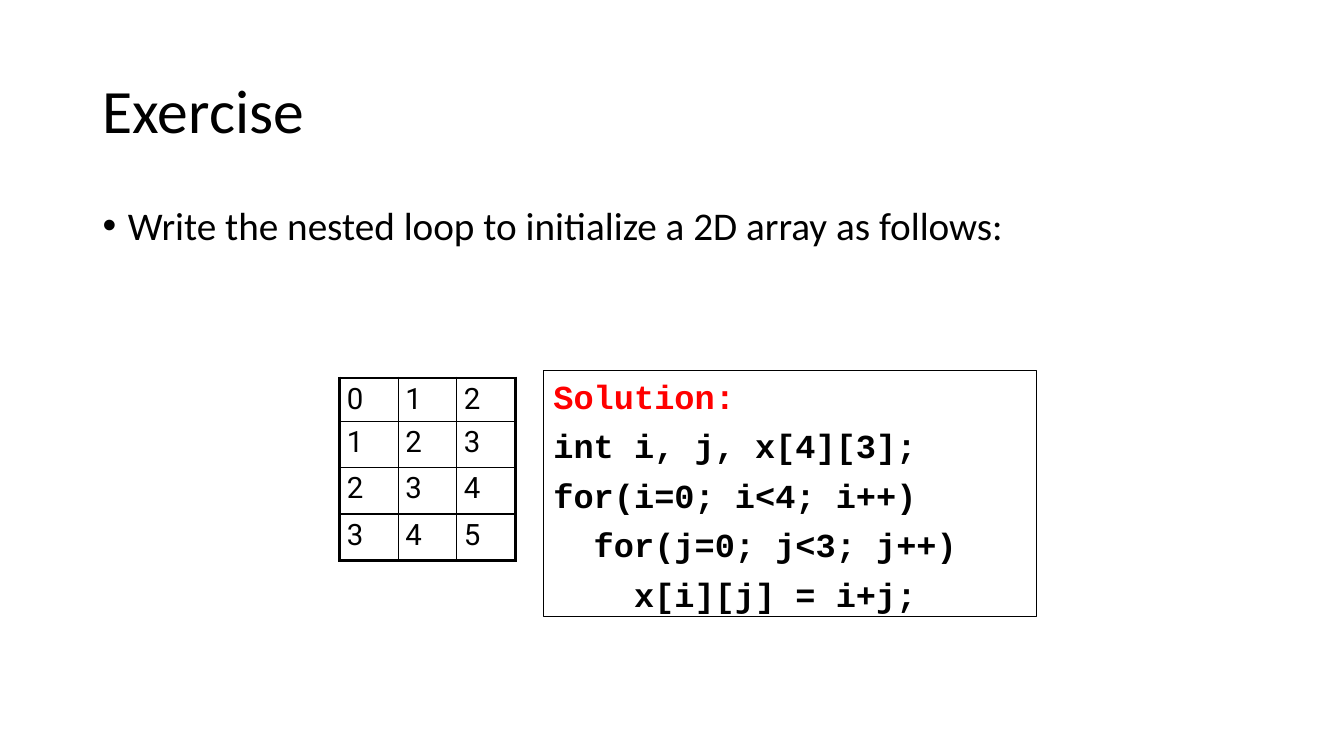
from dataclasses import dataclass

from pptx import Presentation
from pptx.dml.color import RGBColor
from pptx.enum.shapes import MSO_SHAPE as Shape
from pptx.enum.text import MSO_ANCHOR as Anchor, PP_ALIGN as Align
from pptx.oxml.ns import qn
from pptx.util import Pt
from lxml.etree import SubElement

PX = 9144  # EMU per px, 100 px to the inch
BLACK, RED = "000000", "FF0000"
THIN, THICK = 1, 2.25
ROWS, COLUMNS = 4, 3
COLUMN_WIDTH, FIRST_ROW, OTHER_ROW = 58, 43, 46


@dataclass
class Area:
    left: int
    top: int
    width: int
    height: int

    def emu(self) -> list[int]:
        return [side * PX for side in (self.left, self.top, self.width, self.height)]


@dataclass
class Style:
    font: str
    size: int
    bold: bool = False


@dataclass
class Line:
    text: str
    color: str = BLACK


TITLE = Style("Calibri", 44)
BODY = Style("Calibri", 28)
NUMBER = Style("Roboto", 21)
CODE = Style("Courier New", 24, True)

SOLUTION = [
    Line("Solution:", RED),
    Line("int i, j, x[4][3];"),
    Line("for(i=0; i<4; i++)"),
    Line("  for(j=0; j<3; j++)"),
    Line("    x[i][j] = i+j;"),
]


def rgb(color: str) -> RGBColor:
    return RGBColor.from_string(color)


def write(para, line: Line, style: Style) -> None:
    para.alignment = Align.LEFT
    span = para.add_run()
    span.text = line.text
    span.font.name = style.font
    span.font.size = Pt(style.size)
    span.font.bold = style.bold
    span.font.color.rgb = rgb(line.color)


def place(box, area: Area) -> None:
    box.left, box.top, box.width, box.height = area.emu()


def add_title(page, area: Area, text: str) -> None:
    box = page.shapes.title
    place(box, area)
    box.text_frame.vertical_anchor = Anchor.MIDDLE
    para = box.text_frame.paragraphs[0]
    para.line_spacing = 0.9
    write(para, Line(text), TITLE)


def add_bullet(page, area: Area, text: str) -> None:
    box = page.shapes.add_textbox(*area.emu())
    box.text_frame.word_wrap = True
    para = box.text_frame.paragraphs[0]
    para.line_spacing = 0.9
    para.space_before = Pt(10)
    write(para, Line(text), BODY)
    props = para._p.get_or_add_pPr()
    props.set("marL", str(25 * PX))
    props.set("indent", str(-25 * PX))
    SubElement(props, qn("a:buFont"), typeface="Arial")
    SubElement(props, qn("a:buChar"), char="•")


def set_borders(cell, row: int, column: int) -> None:
    outer = {
        "L": column == 0,
        "R": column == COLUMNS - 1,
        "T": row == 0,
        "B": row == ROWS - 1,
    }
    props = cell._tc.get_or_add_tcPr()
    for side, is_outer in outer.items():
        width = Pt(THICK if is_outer else THIN)
        border = SubElement(props, qn(f"a:ln{side}"), w=str(width))
        fill = SubElement(border, qn("a:solidFill"))
        SubElement(fill, qn("a:srgbClr"), val=BLACK)


def add_array(page, area: Area) -> None:
    table = page.shapes.add_table(ROWS, COLUMNS, *area.emu()).table
    table.first_row = table.horz_banding = False
    for column in table.columns:
        column.width = COLUMN_WIDTH * PX
    for i, row in enumerate(table.rows):
        row.height = (OTHER_ROW if i else FIRST_ROW) * PX
        for j, cell in enumerate(row.cells):
            cell.margin_left = cell.margin_right = 7 * PX
            cell.margin_top = cell.margin_bottom = 4 * PX
            write(cell.text_frame.paragraphs[0], Line(str(i + j)), NUMBER)
            set_borders(cell, i, j)
            cell.fill.background()


def add_code(page, area: Area, lines: list[Line]) -> None:
    box = page.shapes.add_shape(Shape.RECTANGLE, *area.emu())
    box.shadow.inherit = False
    box.fill.background()
    box.line.color.rgb = rgb(BLACK)
    box.line.width = Pt(0.75)
    frame = box.text_frame
    frame.word_wrap = True
    frame.vertical_anchor = Anchor.TOP
    for index, line in enumerate(lines):
        para = frame.add_paragraph() if index else frame.paragraphs[0]
        para.space_before = Pt(6.5)
        write(para, line, CODE)


def main() -> None:
    deck = Presentation()
    deck.slide_width, deck.slide_height = 1333 * PX, 750 * PX
    page = deck.slides.add_slide(deck.slide_layouts[5])

    # Heading and task
    add_title(page, Area(92, 40, 1150, 145), "Exercise")
    add_bullet(page, Area(92, 200, 1150, 476),
               "Write the nested loop to initialize a 2D array as follows:")

    # Array values and the code that fills them
    array_height = FIRST_ROW + (ROWS - 1) * OTHER_ROW
    add_array(page, Area(337, 375, COLUMNS * COLUMN_WIDTH, array_height))
    add_code(page, Area(539, 368, 489, 244), SOLUTION)

    deck.save("out.pptx")


if __name__ == "__main__":
    main()
